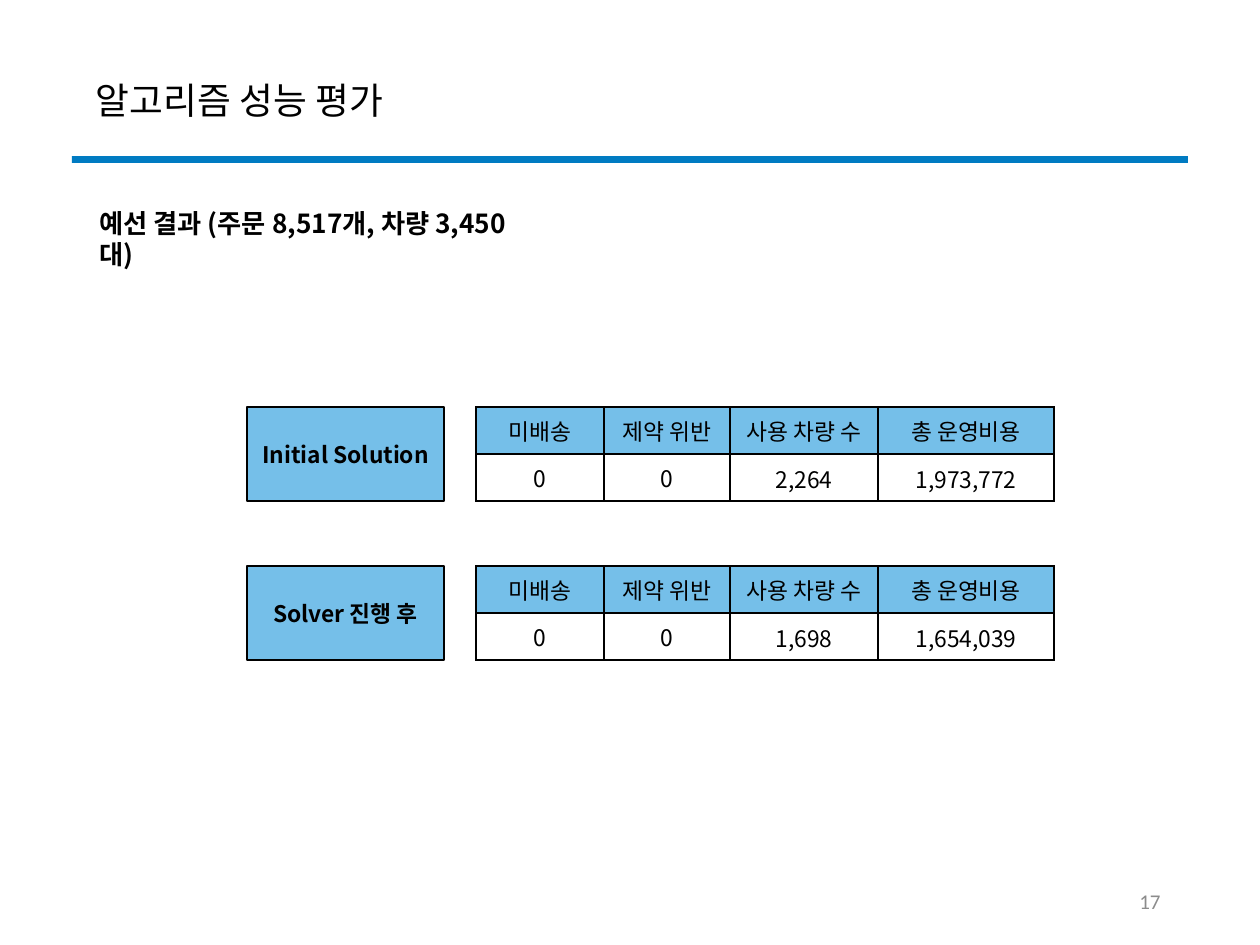
from dataclasses import dataclass

from lxml.etree import SubElement
from pptx import Presentation
from pptx.dml.color import RGBColor
from pptx.enum.shapes import MSO_SHAPE as SHAPE
from pptx.enum.text import MSO_ANCHOR as ANCHOR, MSO_AUTO_SIZE as AUTO, PP_ALIGN as ALIGN
from pptx.oxml.ns import qn
from pptx.util import Pt


@dataclass(frozen=True)
class Theme:
    font: str = "Noto Sans CJK KR"
    number_font: str = "Calibri"
    ink: str = "000000"
    accent: str = "007BC2"
    panel: str = "75BFE9"
    muted: str = "8C8C8C"
    title: int = 21
    subtitle: int = 15
    body: int = 13
    number: int = 12


THEME = Theme()
HEADERS = ["미배송", "제약 위반", "사용 차량 수", "총 운영비용"]
RESULTS = [
    ("Initial Solution", ["0", "0", "2,264", "1,973,772"]),
    ("Solver 진행 후", ["0", "0", "1,698", "1,654,039"]),
]
COLUMNS = [128, 126, 148, 176]
ROW_H = 47
RESULT_TOP, RESULT_STEP = 407, 159


def px(n):
    return round(n * 914400 / 126)


def box(*lengths):
    return [px(n) for n in lengths]


def rgb(value):
    return RGBColor.from_string(value)


def set_margins(target, x, y):
    target.margin_left = target.margin_right = px(x)
    target.margin_top = target.margin_bottom = px(y)


def write(tf, text, size, align=ALIGN.LEFT, bold=False, color=THEME.ink, name=THEME.font):
    p = tf.paragraphs[0]
    p.text = text
    p.alignment = align
    font = p.font
    font.size, font.bold, font.name = Pt(size), bold, name
    font.color.rgb = rgb(color)
    # Korean text takes its typeface from the East Asian slot
    props = p._p.pPr.find(qn("a:defRPr"))
    SubElement(props, qn("a:ea")).set("typeface", name)
    return p


def add_title(slide, text):
    sp = slide.shapes.title
    sp.left, sp.top, sp.width, sp.height = box(87, 64, 1086, 78)
    tf = sp.text_frame
    tf.auto_size = AUTO.NONE
    tf.vertical_anchor = ANCHOR.MIDDLE
    set_margins(tf, 9, 5)
    write(tf, text, THEME.title).line_spacing = 0.9


def add_text(slide, bounds, text, size, anchor=ANCHOR.TOP, **style):
    tf = slide.shapes.add_textbox(*box(*bounds)).text_frame
    tf.word_wrap = True
    tf.vertical_anchor = anchor
    write(tf, text, size, **style)


def add_rect(slide, bounds, fill, outline=None):
    sp = slide.shapes.add_shape(SHAPE.RECTANGLE, *box(*bounds))
    sp.shadow.inherit = False
    sp.fill.solid()
    sp.fill.fore_color.rgb = rgb(fill)
    if outline:
        sp.line.color.rgb = rgb(outline)
        sp.line.width = Pt(1.5)
    else:
        sp.line.fill.background()
    return sp


def add_label(slide, bounds, text):
    tf = add_rect(slide, bounds, THEME.panel, THEME.ink).text_frame
    tf.vertical_anchor = ANCHOR.MIDDLE
    write(tf, text, THEME.body, ALIGN.CENTER, bold=True)


def add_borders(cell):
    props = cell._tc.get_or_add_tcPr()
    for i, side in enumerate(("lnL", "lnR", "lnT", "lnB")):
        ln = props.makeelement(qn(f"a:{side}"), {"w": str(Pt(1))})
        fill = SubElement(ln, qn("a:solidFill"))
        SubElement(fill, qn("a:srgbClr")).set("val", THEME.ink)
        props.insert(i, ln)  # borders come before the fill


def add_result_table(slide, left, top, values):
    rows = [HEADERS, values]
    bounds = box(left, top, sum(COLUMNS), ROW_H * len(rows))
    table = slide.shapes.add_table(len(rows), len(COLUMNS), *bounds).table
    table.first_row = table.horz_banding = False
    for column, width in zip(table.columns, COLUMNS):
        column.width = px(width)
    for r, texts in enumerate(rows):
        table.rows[r].height = px(ROW_H)
        for c, text in enumerate(texts):
            cell = table.cell(r, c)
            cell.vertical_anchor = ANCHOR.MIDDLE
            set_margins(cell, 9, 5)
            if r == 0:
                cell.fill.solid()
                cell.fill.fore_color.rgb = rgb(THEME.panel)
            else:
                cell.fill.background()
            p = write(cell.text_frame, text, THEME.body, ALIGN.CENTER)
            if r > 0 and c > 1:  # vehicle count and cost
                set_margins(cell, 8, 0)
                p.line_spacing = 1.07
                p.space_after = Pt(8)
            add_borders(cell)


def main():
    prs = Presentation()
    prs.slide_width, prs.slide_height = box(1260, 945)
    slide = prs.slides.add_slide(prs.slide_layouts[5])

    # Heading
    add_title(slide, "알고리즘 성능 평가")
    add_rect(slide, (72, 156, 1116, 7), THEME.accent)
    add_text(slide, (87, 201, 456, 44), "예선 결과 (주문 8,517개, 차량 3,450대)",
             THEME.subtitle, bold=True)

    # Results before and after the solver
    for i, (label, values) in enumerate(RESULTS):
        top = RESULT_TOP + i * RESULT_STEP
        add_label(slide, (247, top, 197, 2 * ROW_H), label)
        add_result_table(slide, 476, top, values)

    # Slide number
    add_text(slide, (890, 876, 283, 50), "17", THEME.number, ANCHOR.MIDDLE,
             align=ALIGN.RIGHT, color=THEME.muted, name=THEME.number_font)

    prs.save("out.pptx")


if __name__ == "__main__":
    main()
